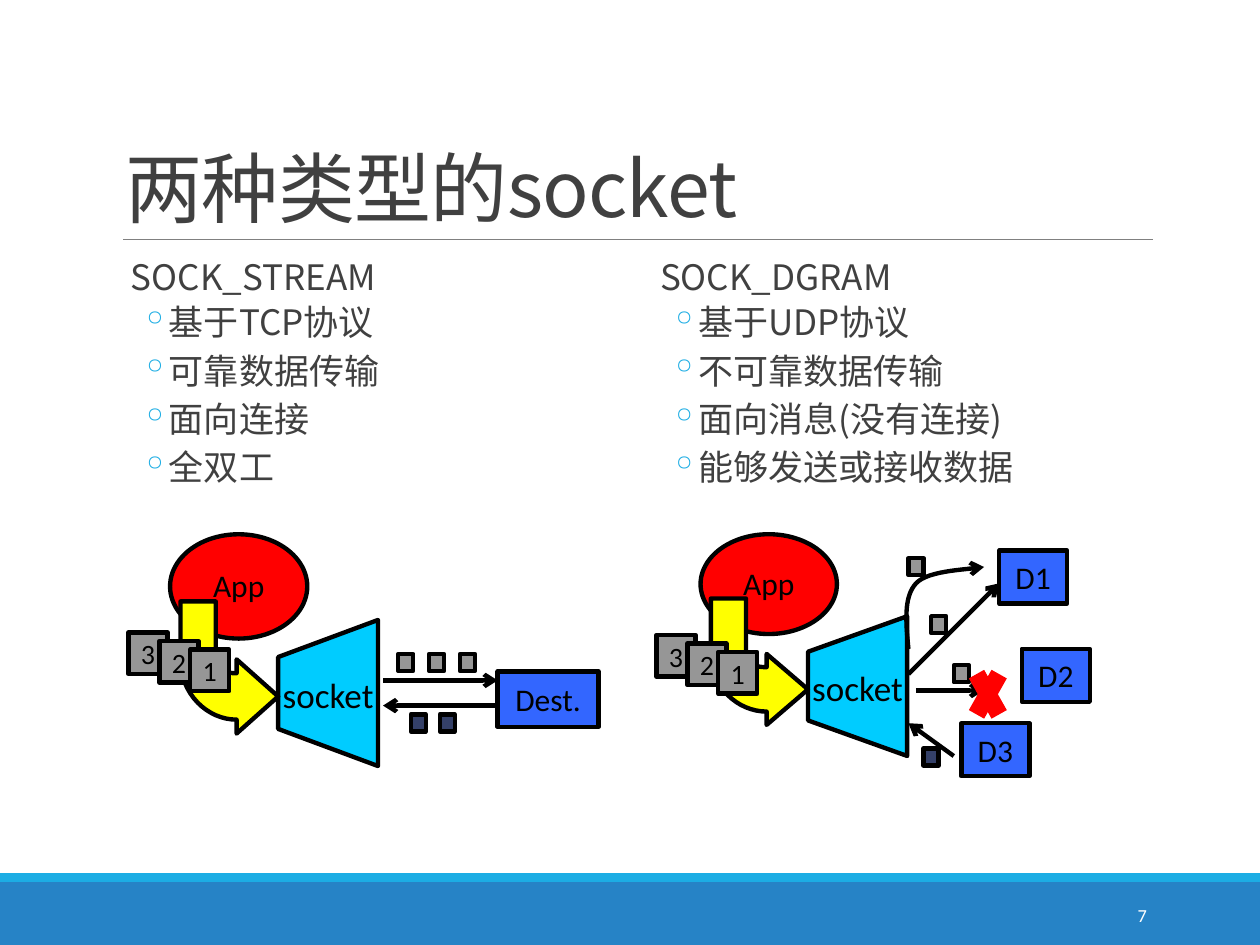
import dataclasses

import lxml.etree
import pptx
import pptx.dml.color
import pptx.enum.shapes
import pptx.enum.text
import pptx.oxml.ns
import pptx.util

RGB = pptx.dml.color.RGBColor
ALIGN = pptx.enum.text.PP_ALIGN
ANCHOR = pptx.enum.text.MSO_ANCHOR
PRESET = pptx.enum.shapes.MSO_SHAPE

BLACK = RGB(0, 0, 0)
WHITE = RGB(255, 255, 255)
INK = RGB(0x40, 0x40, 0x40)
RULE_GRAY = RGB(0x80, 0x80, 0x80)
FOOTER_BLUE = RGB(0x26, 0x83, 0xC6)
ACCENT = RGB(0x1C, 0xAD, 0xE4)
RED = RGB(255, 0, 0)
YELLOW = RGB(255, 255, 0)
CYAN = RGB(0, 0xCC, 0xFF)
BLUE = RGB(0x33, 0x66, 0xFF)
GRAY = RGB(0x96, 0x96, 0x96)
NAVY = RGB(0x34, 0x40, 0x68)

LATIN = "Calibri"
CHINESE = "Noto Sans CJK SC"
CELL = pptx.util.Inches(0.1)
STREAM_LINES = ["SOCK_STREAM", "基于TCP协议", "可靠数据传输", "面向连接", "全双工"]
DATAGRAM_LINES = ["SOCK_DGRAM", "基于UDP协议", "不可靠数据传输", "面向消息(没有连接)", "能够发送或接收数据"]


@dataclasses.dataclass
class Box:
    left: float
    top: float
    width: float
    height: float

    def inner(self, column, row, columns, rows):
        return Box(self.left + column, self.top + row, columns, rows)

    def share(self, x, y, width, height):
        return self.inner(x * self.width, y * self.height, width * self.width, height * self.height)

    def point(self, column, row):
        return round((self.left + column) * CELL), round((self.top + row) * CELL)

    def share_point(self, x, y):
        return self.point(x * self.width, y * self.height)

    def extent(self):
        return (*self.point(0, 0), round(self.width * CELL), round(self.height * CELL))


def add_child(parent, tag, **attributes):
    return lxml.etree.SubElement(parent, pptx.oxml.ns.qn(tag), attributes)


def write_text(para, text, size=18, font=LATIN, color=BLACK, align=ALIGN.CENTER, spacing=None):
    para.alignment = align
    span = para.add_run()
    span.text = text
    span.font.size = pptx.util.Pt(size)
    span.font.name = font
    span.font.color.rgb = color
    properties = span.font._element
    add_child(properties, "a:ea", typeface=font)
    if spacing:
        properties.set("spc", str(spacing))


def style_line(line, color, width, arrow=False):
    line.color.rgb = color
    line.width = pptx.util.Pt(width)
    if arrow:
        add_child(line._get_or_add_ln(), "a:tailEnd", type="arrow")


def paint(shape, fill, outline=True):
    shape.shadow.inherit = False
    shape.fill.solid()
    shape.fill.fore_color.rgb = fill
    if outline:
        style_line(shape.line, BLACK, 2.5)
    else:
        shape.line.fill.background()


def add_block(shapes, box, fill, text=None, size=18, preset=PRESET.RECTANGLE, outline=True):
    shape = shapes.add_shape(preset, *box.extent())
    paint(shape, fill, outline)
    if text:
        shape.text_frame.word_wrap = False
        shape.text_frame.vertical_anchor = ANCHOR.MIDDLE
        write_text(shape.text_frame.paragraphs[0], text, size=size)


def add_frame(shapes, box, anchor=ANCHOR.MIDDLE, wrap=True):
    frame = shapes.add_textbox(*box.extent()).text_frame
    frame.word_wrap = wrap
    frame.vertical_anchor = anchor
    return frame


def add_line(shapes, start, end, color=BLACK, width=2.5, arrow=True):
    line = shapes.add_connector(pptx.enum.shapes.MSO_CONNECTOR.STRAIGHT, *start, *end)
    style_line(line.line, color, width, arrow)
    add_child(line._element.spPr, "a:effectLst")


def add_outline(shapes, points, close=True):
    builder = shapes.build_freeform(*points[0])
    builder.add_line_segments(points[1:], close=close)
    return builder.convert_to_shape()


def bezier(controls, steps=16):
    curve = []
    for step in range(steps + 1):
        t = step / steps
        weights = ((1 - t) ** 3, 3 * t * (1 - t) ** 2, 3 * t * t * (1 - t), t ** 3)
        curve.append(tuple(sum(w * p[axis] for w, p in zip(weights, controls)) for axis in (0, 1)))
    return curve


def add_backdrop(shapes, box):
    add_block(shapes, box.inner(0, 70, 100, 5), FOOTER_BLUE, outline=False)
    add_block(shapes, box.inner(0, 69.3, 100, 0.7), ACCENT, outline=False)
    add_line(shapes, box.point(9.8, 19), box.point(91.5, 19), RULE_GRAY, 0.5, arrow=False)
    number = add_frame(shapes, box.inner(81.2, 70.6, 10.8, 4))
    write_text(number.paragraphs[0], "7", size=10.5, color=WHITE, align=ALIGN.RIGHT)


def add_title(shapes, box):
    para = add_frame(shapes, box, ANCHOR.BOTTOM).paragraphs[0]
    para.line_spacing = 0.85
    write_text(para, "两种类型的socket", size=44, font=CHINESE, color=INK, align=ALIGN.LEFT, spacing=-50)


def add_points(shapes, box, lines):
    frame = add_frame(shapes, box, ANCHOR.TOP)
    frame.margin_left = frame.margin_right = 0
    for index, text in enumerate(lines):
        para = frame.add_paragraph() if index else frame.paragraphs[0]
        before, after, margin, indent = (2, 4, 0.42, -0.2) if index else (12, 2, 0.1, -0.1)
        para.level = min(index, 1)
        para.line_spacing = 0.9
        para.space_before = pptx.util.Pt(before)
        para.space_after = pptx.util.Pt(after)
        write_text(para, text, size=20, font=CHINESE, color=INK, align=ALIGN.LEFT)
        properties = para._p.get_or_add_pPr()
        properties.set("marL", str(pptx.util.Inches(margin)))
        properties.set("indent", str(pptx.util.Inches(indent)))
        add_child(add_child(properties, "a:buClr"), "a:srgbClr", val=str(ACCENT))
        add_child(properties, "a:buChar", char="◦" if index else " ")


def add_sender(shapes, box):
    add_block(shapes, box.share(0, 0, 0.66, 0.45), RED, preset=PRESET.OVAL)
    app = add_frame(shapes, box.share(-0.02, 0.11, 0.7, 0.22), wrap=False)
    write_text(app.paragraphs[0], "App")
    funnel = [(1, 0), (0.52, 0.16), (0.52, 0.47), (1, 0.63)]
    paint(add_outline(shapes, [box.share_point(x, y + 0.37) for x, y in funnel]), CYAN)
    label = add_frame(shapes, box.share(0.35, 0.59, 0.82, 0.2), wrap=False)
    write_text(label.paragraphs[0], "socket", size=20)
    outer = bezier([(0.32, 0.8), (0.18, 0.8), (0.05, 0.69), (0.05, 0.54)])
    inside = bezier([(0.22, 0.54), (0.22, 0.58), (0.26, 0.6), (0.32, 0.6)])
    elbow = [(0.52, 0.7), (0.32, 0.86), *outer, (0.05, 0.29), (0.22, 0.29), *inside, (0.32, 0.54)]
    paint(add_outline(shapes, [box.share_point(x, y) for x, y in elbow]), YELLOW)


def add_tiles(shapes, box):
    for index, text in enumerate("321"):
        add_block(shapes, box.inner(2.45 * index, 0.68 * index, 3.1, 3.3), GRAY, text, size=16)


def add_packets(shapes, box, corners, fill):
    for column, row in corners:
        add_block(shapes, box.inner(column, row, 1.2, 1.35), fill)


def add_stream(shapes, box):
    add_sender(shapes, box.inner(3.3, 0, 16.5, 18.4))
    add_tiles(shapes, box.inner(0, 7.8, 8, 4.7))
    add_packets(shapes, box, [(21.4 + 2.45 * index, 9.5) for index in range(3)], GRAY)
    add_line(shapes, box.point(20.2, 11.6), box.point(29.3, 11.6))
    add_block(shapes, box.inner(29.3, 10.9, 8, 4.4), BLUE, "Dest.")
    add_line(shapes, box.point(29.3, 13.6), box.point(20.2, 13.6))
    add_packets(shapes, box, [(22.4, 14.3), (24.7, 14.3)], NAVY)


def add_datagram(shapes, box):
    add_sender(shapes, box.inner(3.5, 0, 16.4, 17.6))
    add_packets(shapes, box, [(20, 1.9), (21.8, 6.5), (23.6, 10.4)], GRAY)
    for start, end in [((20, 11.1), (27.2, 3.9)), ((20.6, 12.4), (26, 12.4)), ((23.6, 17.6), (20, 15))]:
        add_line(shapes, box.point(*start), box.point(*end))
    for text, column, row in [("D1", 27.2, 1.3), ("D3", 24.2, 15), ("D2", 29, 9.1)]:
        add_block(shapes, box.inner(column, row, 5.4, 4.2), BLUE, text)
    rise = bezier([(20, 9.1), (19.8, 7), (19.6, 5), (20.6, 3.9)])
    reach = bezier([(20.6, 3.9), (21.6, 2.8), (25.1, 2.8), (26, 2.6)])
    route = add_outline(shapes, [box.point(*spot) for spot in rise + reach[1:]], close=False)
    route.shadow.inherit = False
    route.fill.background()
    style_line(route.line, BLACK, 2.5, arrow=True)
    for start, end in [(25.4, 27.2), (27.2, 25.4)]:
        add_line(shapes, box.point(start, 11.1), box.point(end, 14.3), RED, 10, arrow=False)
    add_packets(shapes, box, [(21.2, 17)], NAVY)
    add_tiles(shapes, box.inner(0, 8, 8, 4.7))


def main():
    deck = pptx.Presentation()
    deck.slide_width, deck.slide_height = 100 * CELL, 75 * CELL
    shapes = deck.slides.add_slide(deck.slide_layouts[6]).shapes
    page = Box(0, 0, 100, 75)
    add_backdrop(shapes, page)
    add_title(shapes, page.inner(9, 3.1, 81.7, 15.9))
    for column, lines in [(9, STREAM_LINES), (51, DATAGRAM_LINES)]:
        add_points(shapes, page.inner(column, 20.2, 40.5, 44), lines)
    add_stream(shapes.add_group_shape().shapes, page.inner(10.2, 42.4, 37.3, 18.4))
    add_datagram(shapes.add_group_shape().shapes, page.inner(52.1, 42.4, 34.4, 19.2))
    deck.save("out.pptx")


if __name__ == "__main__":
    main()
